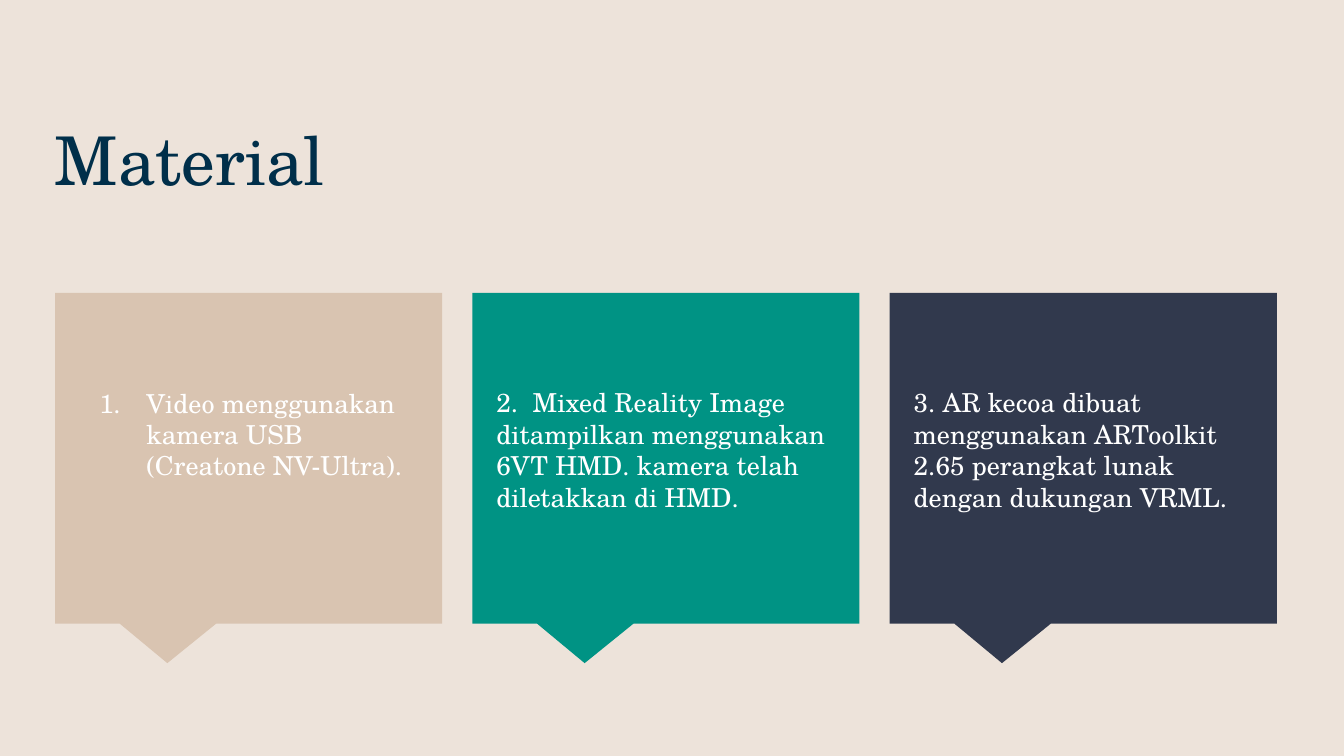
from lxml import etree
from pptx import Presentation
from pptx import util as u
from pptx.dml.color import RGBColor
from pptx.enum import shapes, text
from pptx.oxml import ns

CREAM = RGBColor(0xED, 0xE3, 0xDA)
NAVY = RGBColor(0x00, 0x2F, 0x4A)
SAND = RGBColor(0xD9, 0xC4, 0xB1)
TEAL = RGBColor(0x00, 0x93, 0x84)
SLATE = RGBColor(0x31, 0x39, 0x4D)
WHITE = RGBColor(0xFF, 0xFF, 0xFF)

FIRST_LEFT, LAST_LEFT = 0.41, 6.62
TEXT_INDENT = 0.08
CARDS = [
    (SAND, "Video menggunakan kamera USB (Creatone NV-Ultra).", True),
    (TEAL, "2.  Mixed Reality Image ditampilkan menggunakan 6VT HMD. "
           "kamera telah diletakkan di HMD.", False),
    (SLATE, "3. AR kecoa dibuat menggunakan ARToolkit 2.65 perangkat lunak "
            "dengan dukungan VRML.", False),
]


class MaterialSlide:
    font = "TeX Gyre Schola"

    def __init__(self, deck):
        self.slide = deck.slides.add_slide(deck.slide_layouts[6])
        self.slide.background.fill.solid()
        self.slide.background.fill.fore_color.rgb = CREAM

    def callout(self, left, top, width, height, color):
        card = self.slide.shapes.add_shape(
            shapes.MSO_SHAPE.RECTANGULAR_CALLOUT,
            *map(u.Inches, (left, top, width, height)))
        card.adjustments[0] = -0.21
        card.adjustments[1] = 0.62
        card.shadow.inherit = False
        card.fill.solid()
        card.fill.fore_color.rgb = color
        card.line.fill.background()

    def label(self, left, top, width, height, wording, size, color,
              anchor=text.MSO_ANCHOR.TOP, bottom=0.1):
        box = self.slide.shapes.add_textbox(
            *map(u.Inches, (left, top, width, height)))
        frame = box.text_frame
        frame.word_wrap = True
        frame.vertical_anchor = anchor
        frame.margin_left = frame.margin_right = frame.margin_top = u.Inches(0.1)
        frame.margin_bottom = u.Inches(bottom)
        frame.text = wording
        paragraph = frame.paragraphs[0]
        for run in paragraph.runs:
            run.font.name = self.font
            run.font.size = u.Pt(size)
            run.font.color.rgb = color
        return paragraph

    def number(self, paragraph):
        props = paragraph._p.get_or_add_pPr()
        props.set("marL", str(u.Inches(0.5)))
        props.set("indent", str(u.Inches(-0.35)))
        color = etree.SubElement(props, ns.qn("a:buClr"))
        etree.SubElement(color, ns.qn("a:srgbClr"), val=str(WHITE))
        etree.SubElement(props, ns.qn("a:buFont"), typeface=self.font)
        etree.SubElement(props, ns.qn("a:buAutoNum"), type="arabicPeriod")


def main():
    deck = Presentation()
    deck.slide_width = u.Inches(10)
    deck.slide_height = deck.slide_width * 9 // 16
    material = MaterialSlide(deck)
    material.label(0.31, 0.78, 9.43, 1.12, "Material", 36, NAVY)
    pitch = (LAST_LEFT - FIRST_LEFT) / (len(CARDS) - 1)
    for index, (color, wording, numbered) in enumerate(CARDS):
        left = FIRST_LEFT + index * pitch
        material.callout(left, 2.18, 2.88, 2.46, color)
        item = material.label(left + TEXT_INDENT, 2.25, 2.71, 2.19, wording, 14,
                              WHITE, text.MSO_ANCHOR.MIDDLE,
                              0.33 if numbered else 0.1)
        if numbered:
            material.number(item)
    deck.save("out.pptx")


if __name__ == "__main__":
    main()
